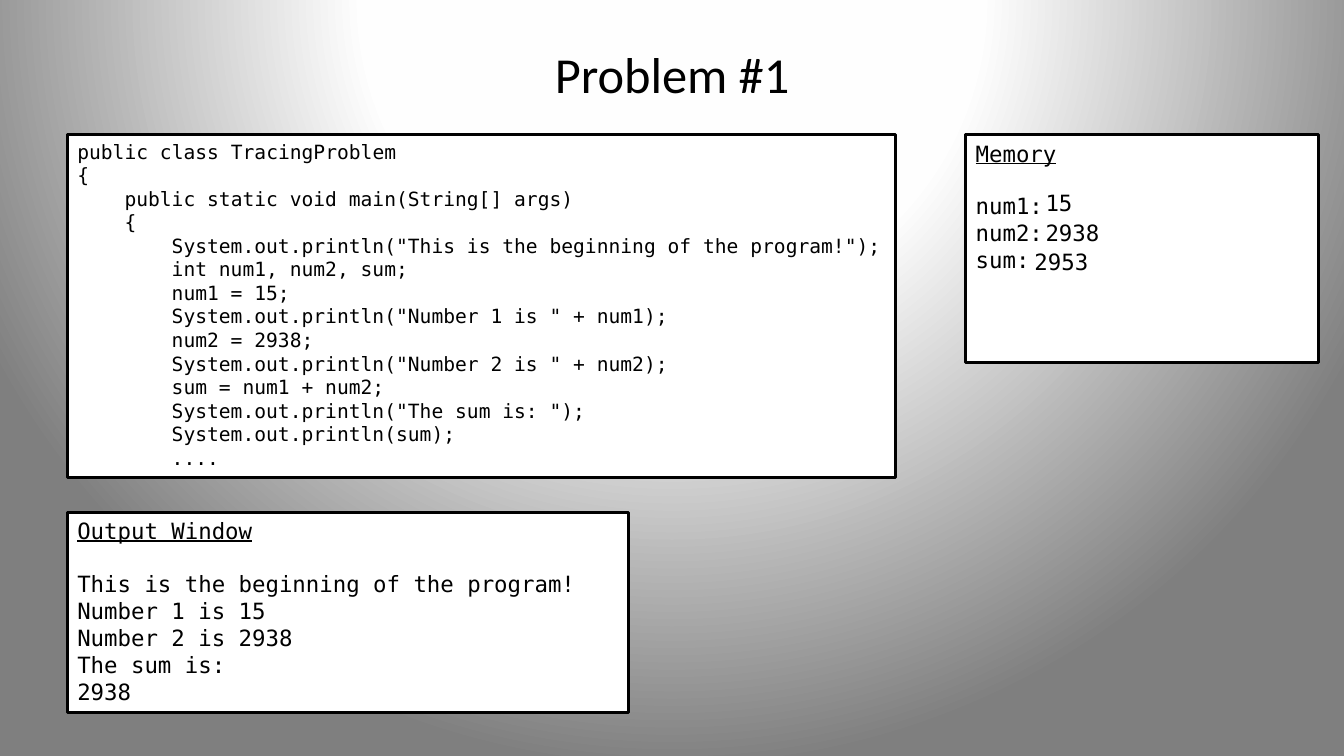
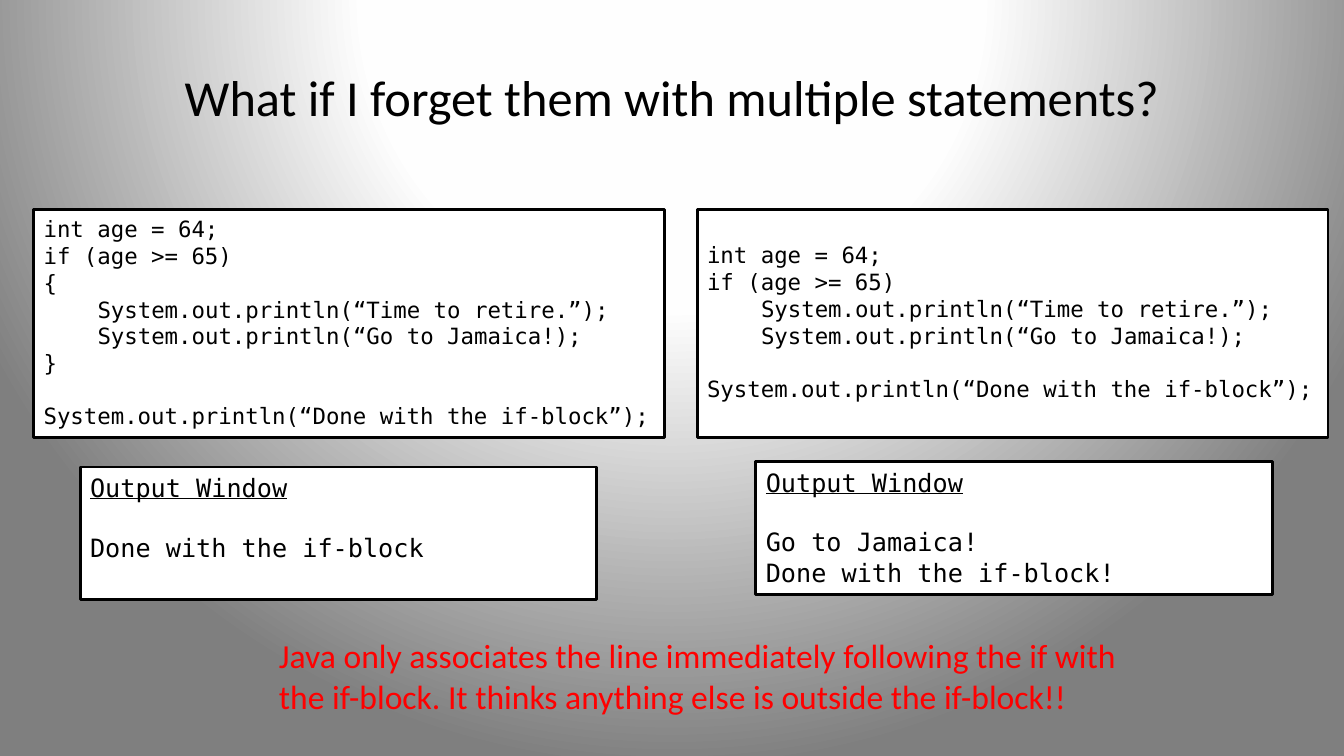
import pptx
import pptx.dml.color
import pptx.enum.shapes
import pptx.enum.text
import pptx.oxml
import pptx.util
from pptx.util import Cm

BLACK, WHITE, RED = "000000", "FFFFFF", "FF0000"
TITLE_FONT, CODE_FONT = "Calibri", "DejaVu Sans Mono"
CHARACTER_WIDTH, LINE_HEIGHT = 0.602, 1.164
TAB_CHARACTERS = 4


def color(value):
    return pptx.dml.color.RGBColor.from_string(value)


def write(shape, lines, size=16, font=CODE_FONT, ink=BLACK, heading=False,
          gap_before=None, centered=False, wrap=True):
    frame = shape.text_frame
    frame.word_wrap = wrap
    alignment = pptx.enum.text.PP_ALIGN
    for index, line in enumerate(lines):
        paragraph = frame.add_paragraph() if index else frame.paragraphs[0]
        paragraph.alignment = alignment.CENTER if centered else alignment.LEFT
        text = line.lstrip("\t")
        level = len(line) - len(text)
        if level:
            indent = pptx.util.Pt(level * TAB_CHARACTERS * CHARACTER_WIDTH * size)
            properties = paragraph._p.get_or_add_pPr()
            properties.set("marL", str(int(indent)))
            properties.set("indent", "0")
        if index == gap_before:
            paragraph.space_before = pptx.util.Pt(round(size * LINE_HEIGHT, 1))
        run = paragraph.add_run()
        run.text = text
        run.font.name = font
        run.font.size = pptx.util.Pt(size)
        run.font.color.rgb = color(ink)
        if heading and index == 0:
            run.font.underline = True


presentation = pptx.Presentation()
presentation.slide_width = Cm(33.87)
presentation.slide_height = Cm(19.05)

master = presentation.slide_master
master.background.fill.gradient()
gradient = master.element.xpath("./p:cSld/p:bg//a:gradFill")[0]
stops = "".join(
    f'<a:gs pos="{position * 1000}"><a:srgbClr val="{value}"/></a:gs>'
    for position, value in [(0, WHITE), (40, "FEFEFE"), (100, "7F7F7F")]
)
gradient.getparent().replace(gradient, pptx.oxml.parse_xml(
    '<a:gradFill xmlns:a="http://schemas.openxmlformats.org/drawingml/2006/main" '
    f'rotWithShape="1"><a:gsLst>{stops}</a:gsLst><a:path path="circle">'
    '<a:fillToRect l="50000" t="-80000" r="50000" b="180000"/>'
    '</a:path></a:gradFill>'
))

tracing_code = [
    "public class TracingProblem",
    "{",
    "\tpublic static void main(String[] args)",
    "\t{",
    '\t\tSystem.out.println("This is the beginning of the program!");',
    "\t\tint num1, num2, sum;",
    "\t\tnum1 = 15;",
    '\t\tSystem.out.println("Number 1 is " + num1);',
    "\t\tnum2 = 2938;",
    '\t\tSystem.out.println("Number 2 is " + num2);',
    "\t\tsum = num1 + num2;",
    '\t\tSystem.out.println("The sum is: ");',
    "\t\tSystem.out.println(sum);",
    "\t\t....",
]
tracing_output = [
    "Output Window",
    "This is the beginning of the program!",
    "Number 1 is 15",
    "Number 2 is 2938",
    "The sum is:",
    "2938",
]
condition = ["int age = 64;", "if (age >= 65)"]
statements = [
    "\tSystem.out.println(“Time to retire.”);",
    "\tSystem.out.println(“Go to Jamaica!);",
]
done = ["System.out.println(“Done with the if-block”);"]
with_braces = condition + ["{"] + statements + ["}"] + done
without_braces = condition + statements + done

titled = {"heading": True, "gap_before": 1}
slides = [
    {
        "title": ("Problem #1", 0.64, 2.41),
        "boxes": [
            (1.7, 3.39, 20.86, 8.64, 0.13, tracing_code, {"size": 14}),
            (1.7, 12.91, 14.15, 5.05, 0.13, tracing_output, titled),
            (24.34, 3.39, 8.89, 5.74, 0.13,
             ["Memory", "num1:", "num2:", "sum:"], titled),
        ],
        "notes": [
            (26.1, 4.65, 1.2, 0.94, "15", {"wrap": False}),
            (26.1, 5.4, 1.88, 0.94, "2938", {"wrap": False}),
            (25.82, 6.14, 1.88, 0.94, "2953", {"wrap": False}),
        ],
    },
    {
        "title": ("What if I forget them with multiple statements?", 0.85, 3.18),
        "boxes": [
            (0.85, 5.29, 15.9, 5.74, 0.13, with_braces, {"gap_before": 6}),
            (17.57, 5.29, 15.9, 5.74, 0.79, without_braces, {"gap_before": 4}),
            (2.02, 11.77, 13.01, 3.34, 0.13,
             ["Output Window", "Done with the if-block"], {"size": 18, **titled}),
            (19.05, 11.64, 13.01, 3.34, 0.13,
             ["Output Window", "Go to Jamaica!", "Done with the if-block!"],
             {"size": 18, **titled}),
        ],
        "notes": [
            (6.78, 15.88, 21.89, 2.31,
             "Java only associates the line immediately following the if with "
             "the if-block. It thinks anything else is outside the if-block!!",
             {"size": 24, "font": TITLE_FONT, "ink": RED}),
        ],
    },
]

for content in slides:
    slide = presentation.slides.add_slide(presentation.slide_layouts[5])

    text, top, height = content["title"]
    title = slide.shapes.title
    title.left, title.top = Cm(1.7), Cm(top)
    title.width, title.height = Cm(30.48), Cm(height)
    title.text_frame.vertical_anchor = pptx.enum.text.MSO_ANCHOR.MIDDLE
    write(title, [text], size=36, font=TITLE_FONT, centered=True)

    for left, top, width, height, inset, lines, style in content["boxes"]:
        box = slide.shapes.add_shape(
            pptx.enum.shapes.MSO_SHAPE.RECTANGLE,
            Cm(left), Cm(top), Cm(width), Cm(height),
        )
        box.shadow.inherit = False
        box.fill.solid()
        box.fill.fore_color.rgb = color(WHITE)
        box.line.color.rgb = color(BLACK)
        box.line.width = pptx.util.Pt(2)
        box.text_frame.vertical_anchor = pptx.enum.text.MSO_ANCHOR.TOP
        box.text_frame.margin_top = Cm(inset)
        write(box, lines, **style)

    for left, top, width, height, text, style in content["notes"]:
        note = slide.shapes.add_textbox(Cm(left), Cm(top), Cm(width), Cm(height))
        write(note, [text], **style)

presentation.save("out.pptx")
